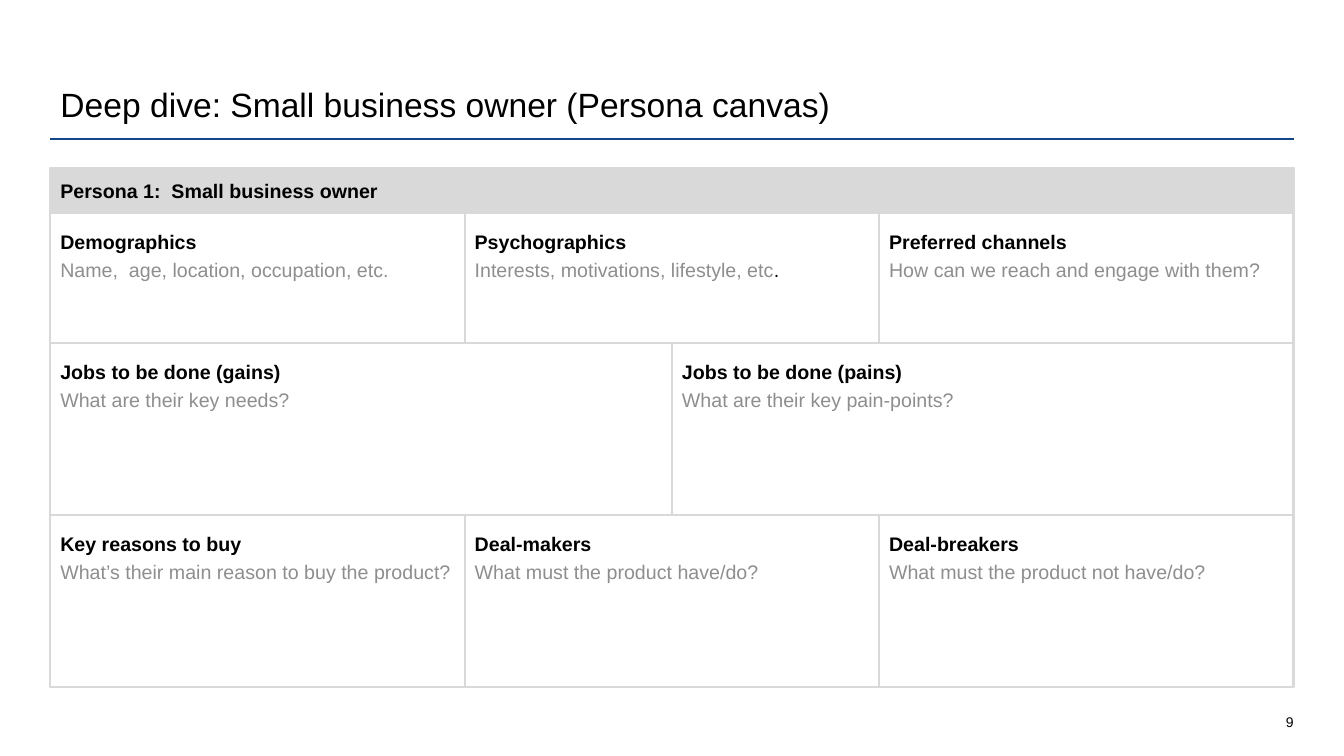
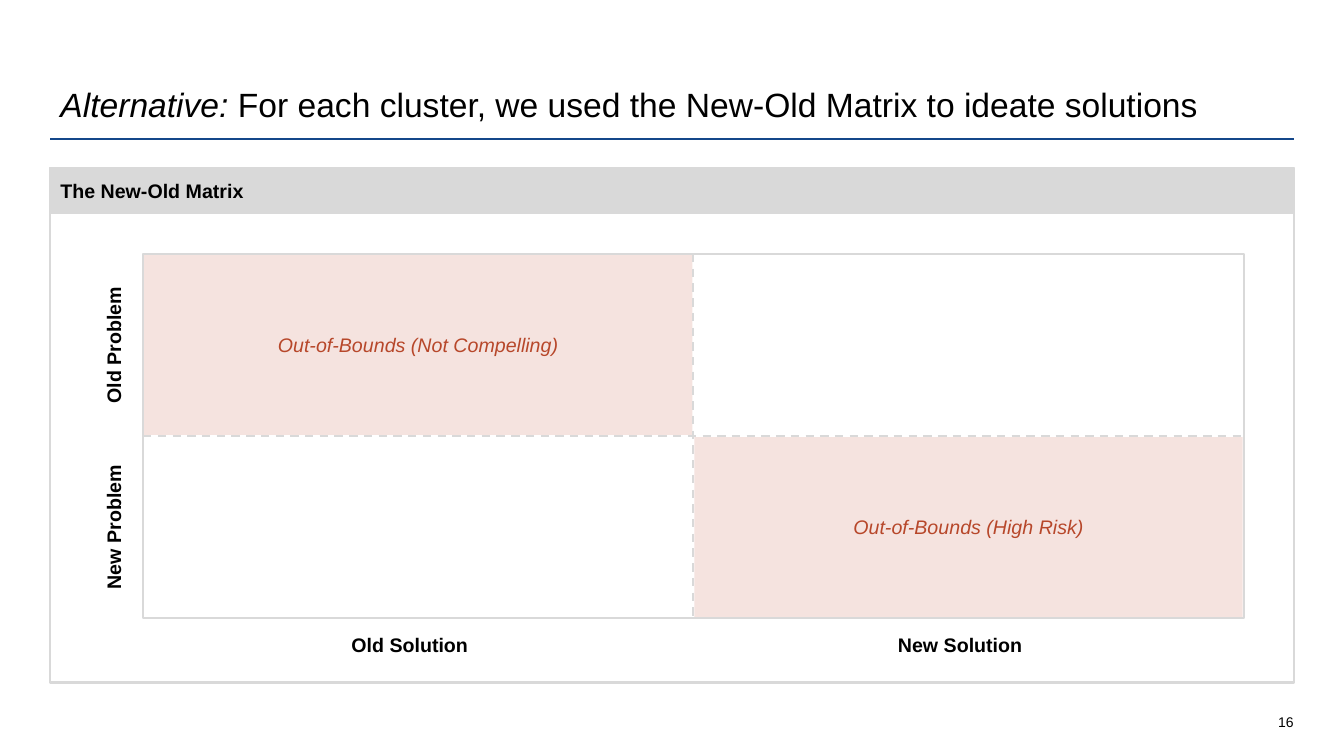
from dataclasses import dataclass

from lxml import etree
from pptx import Presentation
from pptx.dml.color import RGBColor
from pptx.enum.dml import MSO_LINE
from pptx.enum.shapes import MSO_CONNECTOR, MSO_SHAPE
from pptx.enum.text import MSO_ANCHOR, MSO_AUTO_SIZE, PP_ALIGN
from pptx.oxml.ns import qn
from pptx.util import Pt

RECT = MSO_SHAPE.RECTANGLE
STRAIGHT = MSO_CONNECTOR.STRAIGHT
DASH = MSO_LINE.DASH
TOP, MIDDLE, BOTTOM = MSO_ANCHOR.TOP, MSO_ANCHOR.MIDDLE, MSO_ANCHOR.BOTTOM
LEFT, CENTER, RIGHT = PP_ALIGN.LEFT, PP_ALIGN.CENTER, PP_ALIGN.RIGHT
NO_FIT = MSO_AUTO_SIZE.NONE


@dataclass(frozen=True)
class Theme:
    font: str = "Arial"
    ink: str = "000000"
    hint: str = "8E8E8E"
    rule: str = "14478A"
    grid: str = "D9D9D9"
    paper: str = "FFFFFF"
    warning: str = "B7472A"
    warning_fill: str = "F5E3DF"
    title_size: float = 24
    text_size: float = 14
    number_size: float = 10
    stroke: float = 1.5


THEME = Theme()
SLIDE_SIZE = (960, 540)
TITLE_BOX = (36, 28.8, 888, 64)
NUMBER_BOX = (878, 498, 46, 24)
CONTENT_BOX = (36, 120, 888, 371)
RULE_Y = 99.4
BAND_HEIGHT = 32


def rgb(code):
    return RGBColor.from_string(code)


def points(*lengths):
    return [Pt(length) for length in lengths]


def write(frame, paragraphs, *, size=THEME.text_size, color=THEME.ink, bold=False,
          italic=False, align=LEFT, anchor=MIDDLE, spacing=1.0,
          insets=(7.2, 3.6, 7.2, 3.6)):
    """Fill a frame; each paragraph lists (text, format changes) runs."""
    frame.word_wrap = True
    frame.auto_size = NO_FIT
    frame.vertical_anchor = anchor
    (frame.margin_left, frame.margin_top,
     frame.margin_right, frame.margin_bottom) = points(*insets)
    for index, runs in enumerate(paragraphs):
        paragraph = frame.add_paragraph() if index else frame.paragraphs[0]
        paragraph.alignment = align
        paragraph.line_spacing = spacing
        for text, changes in runs:
            run = paragraph.add_run()
            run.text = text
            run.font.name = THEME.font
            run.font.size = Pt(size)
            run.font.bold = changes.get("bold", bold)
            run.font.italic = changes.get("italic", italic)
            run.font.color.rgb = rgb(changes.get("color", color))


def add_panel(slide, box, fill=None, line=None):
    panel = slide.shapes.add_shape(RECT, *points(*box))
    panel.shadow.inherit = False
    if fill:
        panel.fill.solid()
        panel.fill.fore_color.rgb = rgb(fill)
    else:
        panel.fill.background()
    if line:
        panel.line.color.rgb = rgb(line)
        panel.line.width = Pt(THEME.stroke)
    else:
        panel.line.fill.background()
    return panel


def add_rule(slide, start, end, color, dash=None):
    rule = slide.shapes.add_connector(STRAIGHT, *points(*start, *end))
    rule.line.color.rgb = rgb(color)
    rule.line.width = Pt(THEME.stroke)
    if dash:
        rule.line.dash_style = dash
    etree.SubElement(rule.element.spPr, qn("a:effectLst"))


def add_page(deck, title_runs, number):
    """Slide with the shared title, rule and page number."""
    slide = deck.slides.add_slide(deck.slide_layouts[5])
    title = slide.shapes.title
    title.left, title.top, title.width, title.height = points(*TITLE_BOX)
    write(title.text_frame, [title_runs], size=THEME.title_size,
          anchor=BOTTOM, spacing=0.9)
    left, _, width, _ = TITLE_BOX
    add_rule(slide, (left, RULE_Y), (left + width, RULE_Y), THEME.rule)
    number_box = slide.shapes.add_textbox(*points(*NUMBER_BOX))
    write(number_box.text_frame, [[(number, {})]], size=THEME.number_size,
          align=RIGHT, anchor=BOTTOM, insets=(0, 0, 0, 0))
    return slide


def add_band(slide, box, heading):
    left, top, width, _ = box
    band = add_panel(slide, (left, top, width, BAND_HEIGHT), THEME.grid, THEME.grid)
    write(band.text_frame, [[(heading, {})]], bold=True)


def add_canvas(slide, box, heading, rows):
    """Rows of equal-width cells under a heading band."""
    left, top, width, height = box
    row_top = top + BAND_HEIGHT
    unit = (height - BAND_HEIGHT) / sum(share for share, _ in rows)
    for share, cells in rows:
        cell_width = width / len(cells)
        for column, (topic, prompt) in enumerate(cells):
            cell = add_panel(
                slide, (left + column * cell_width, row_top, cell_width, share * unit),
                THEME.paper, THEME.grid)
            write(cell.text_frame, [[(topic, {"bold": True})], prompt],
                  color=THEME.hint, anchor=TOP, spacing=1.2,
                  insets=(7.2, 8.64, 7.2, 8.64))
        row_top += share * unit
    add_band(slide, box, heading)


def add_matrix(slide, box, columns, rows, excluded):
    """Two-by-two matrix; excluded maps (row, column) to its label."""
    left, top, width, height = box
    cell_width, cell_height = width / 2, height / 2
    edge = THEME.stroke / 2
    add_panel(slide, box, THEME.paper, THEME.grid)

    # Shaded quadrants
    for (row, column), label in excluded.items():
        quadrant = add_panel(
            slide, (left + column * cell_width + edge, top + row * cell_height + edge,
                    cell_width - 2 * edge, cell_height - 2 * edge), THEME.warning_fill)
        write(quadrant.text_frame, [[(label, {})]], color=THEME.warning,
              italic=True, align=CENTER)

    # Column labels below, row labels turned at the left
    label_boxes = [
        (name, (left - 6 + column * cell_width, top + height + 4.4, cell_width, 28.8), 0)
        for column, name in enumerate(columns)]
    label_length, label_depth, label_gap = 130, 35, 21.2
    label_boxes += [
        (name, (left - label_gap - label_length / 2,
                top + (row + 0.5) * cell_height - label_depth / 2,
                label_length, label_depth), 270)
        for row, name in enumerate(rows)]
    for name, label_box, turn in label_boxes:
        axis_label = add_panel(slide, label_box, THEME.paper)
        axis_label.rotation = turn
        write(axis_label.text_frame, [[(name, {})]], bold=True, align=CENTER)

    # Dividers
    middle_x, middle_y = left + cell_width, top + cell_height
    add_rule(slide, (middle_x, top), (middle_x, top + height), THEME.grid, DASH)
    add_rule(slide, (left, middle_y), (left + width, middle_y), THEME.grid, DASH)


def build_persona(deck):
    slide = add_page(
        deck, [("Deep dive: Small business owner (Persona canvas)", {})], "9")
    rows = [
        (93, [
            ("Demographics", [("Name,  age, location, occupation, etc.", {})]),
            ("Psychographics", [("Interests, motivations, lifestyle, etc", {}),
                                (".", {"color": THEME.ink})]),
            ("Preferred channels", [("How can we reach and engage with them?", {})]),
        ]),
        (123, [
            ("Jobs to be done (gains)", [("What are their key needs?", {})]),
            ("Jobs to be done (pains)", [("What are their key pain-points?", {})]),
        ]),
        (123, [
            ("Key reasons to buy",
             [("What’s their main reason to buy the product?", {})]),
            ("Deal-makers", [("What must the product have/do?", {})]),
            ("Deal-breakers", [("What must the product not have/do?", {})]),
        ]),
    ]
    # Topics are black, prompts grey
    add_canvas(slide, CONTENT_BOX, "Persona 1:  Small business owner", rows)
    for shape in slide.shapes:
        if shape.has_text_frame and len(shape.text_frame.paragraphs) == 2:
            shape.text_frame.paragraphs[0].runs[0].font.color.rgb = rgb(THEME.ink)


def build_matrix(deck):
    slide = add_page(
        deck, [("Alternative: ", {"italic": True}),
               ("For each cluster, we used the New-Old Matrix to ideate solutions", {})],
        "16")
    left, top, width, _ = CONTENT_BOX
    frame_box = (left, top, width, 367.5)
    add_panel(slide, frame_box, line=THEME.grid)
    add_band(slide, frame_box, "The New-Old Matrix")
    add_matrix(slide, (left + 66.2, top + 61.4, 786.2, 260),
               columns=["Old Solution", "New Solution"],
               rows=["Old Problem", "New Problem"],
               excluded={(0, 0): "Out-of-Bounds (Not Compelling)",
                         (1, 1): "Out-of-Bounds (High Risk)"})


def main():
    deck = Presentation()
    deck.slide_width, deck.slide_height = points(*SLIDE_SIZE)
    build_persona(deck)
    build_matrix(deck)
    deck.save("out.pptx")


if __name__ == "__main__":
    main()
